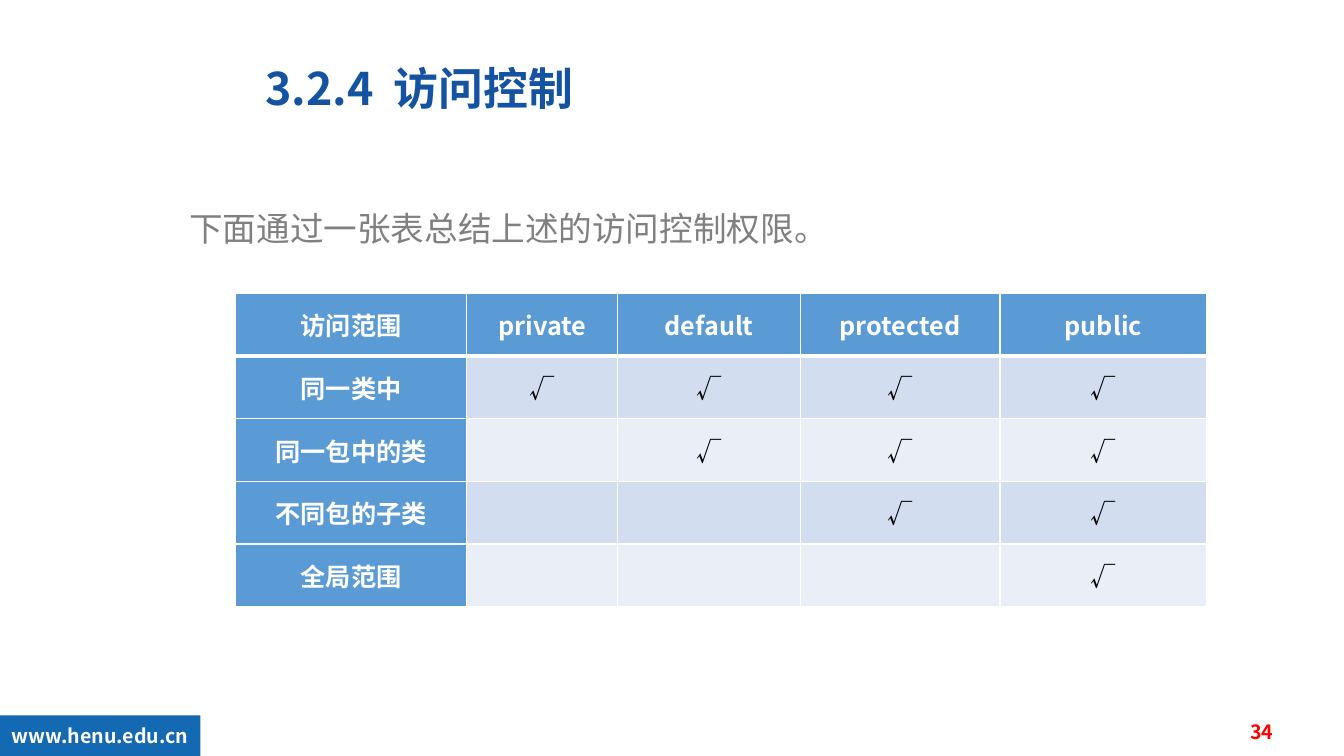
from lxml import etree
from pptx import Presentation
from pptx.dml.color import RGBColor
from pptx.enum.shapes import MSO_SHAPE
from pptx.enum.text import MSO_ANCHOR, PP_ALIGN
from pptx.oxml.ns import qn
from pptx.util import Cm, Pt

RECTANGLE = MSO_SHAPE.RECTANGLE
MIDDLE = MSO_ANCHOR.MIDDLE
LEFT, CENTER = PP_ALIGN.LEFT, PP_ALIGN.CENTER

FONT = "Noto Sans CJK SC"
COLORS = {
    "white": "FFFFFF",
    "black": "000000",
    "title": "1353A2",
    "intro": "808080",
    "site": "1369B2",
    "number": "FF0000",
    "header": "5B9BD5",
    "band_dark": "D2DEEF",
    "band_light": "EAEFF7",
}

SCOPE_HEADING = "访问范围"
MODIFIERS = ["private", "default", "protected", "public"]
# Each scope with the index of the first modifier that reaches it
SCOPES = [("同一类中", 0), ("同一包中的类", 1), ("不同包的子类", 2), ("全局范围", 3)]
COLUMN_WIDTHS = [5.82, 3.81, 4.6, 5.03, 5.21]


def rgb(name):
    return RGBColor.from_string(COLORS[name])


def style(paragraph, size, color, bold=False, align=LEFT):
    paragraph.alignment = align
    font = paragraph.font
    font.size, font.bold, font.name = Pt(size), bold, FONT
    font.color.rgb = rgb(color)
    east_asian = etree.SubElement(font._rPr, qn("a:ea"))
    east_asian.set("typeface", FONT)


def add_text(slide, box, text, size, color, **look):
    frame = slide.shapes.add_textbox(*map(Cm, box)).text_frame
    frame.word_wrap = True
    paragraph = frame.paragraphs[0]
    paragraph.text = text
    style(paragraph, size, color, **look)
    return frame


# Section title, with a widened gap after the number
def add_title(slide, box):
    frame = add_text(slide, box, "3.2.4", 32, "title", bold=True)
    paragraph = frame.paragraphs[0]
    gap = paragraph.add_run()
    gap.text = " "
    gap.font._element.set("spc", "720") if hasattr(gap.font, "_element") else gap._r.get_or_add_rPr().set("spc", "720")
    paragraph.add_run().text = "访问控制"


# Introductory sentence
def add_intro(slide, box):
    frame = add_text(slide, box, "下面通过一张表总结上述的访问控制权限。", 24, "intro")
    frame.paragraphs[0].line_spacing = 1.5


def set_borders(cell, top, bottom):
    properties = cell._tc.get_or_add_tcPr()
    widths = {"a:lnL": 1, "a:lnR": 1, "a:lnT": top, "a:lnB": bottom}
    for position, (side, width) in enumerate(widths.items()):
        line = etree.Element(qn(side), w=str(Pt(width)))
        fill = etree.SubElement(line, qn("a:solidFill"))
        etree.SubElement(fill, qn("a:srgbClr"), val=COLORS["white"])
        properties.insert(position, line)


# Table of access rights
def add_access_table(slide, box):
    rows = [[SCOPE_HEADING] + MODIFIERS]
    for scope, first in SCOPES:
        rows.append([scope] + ["√" if i >= first else "" for i in range(len(MODIFIERS))])

    table = slide.shapes.add_table(len(rows), len(rows[0]), *map(Cm, box)).table
    for column, width in zip(table.columns, COLUMN_WIDTHS):
        column.width = Cm(width)
    for r, texts in enumerate(rows):
        table.rows[r].height = Cm(box[3] / len(rows))
        band = "band_dark" if r % 2 else "band_light"
        for c, text in enumerate(texts):
            heading = r == 0 or c == 0
            cell = table.cell(r, c)
            cell.vertical_anchor = MIDDLE
            cell.margin_left = cell.margin_right = Cm(0.18)
            cell.margin_top = cell.margin_bottom = 0
            cell.fill.solid()
            cell.fill.fore_color.rgb = rgb("header" if heading else band)
            set_borders(cell, top=3 if r == 1 else 1, bottom=3 if r == 0 else 1)
            paragraph = cell.text_frame.paragraphs[0]
            paragraph.text = text
            style(paragraph, 18, "white" if heading else "black", heading, CENTER)


# Footer strip: site address on the left, page number on the right
def add_footer(slide, box):
    left, top, width, height = box
    site = slide.shapes.add_shape(RECTANGLE, Cm(left), Cm(top), Cm(5.05), Cm(height))
    site.shadow.inherit = False
    site.fill.solid()
    site.fill.fore_color.rgb = rgb("site")
    site.line.fill.background()
    frame = site.text_frame
    frame.vertical_anchor = MIDDLE
    frame.word_wrap = True
    address = frame.paragraphs[0]
    address.text = "www.henu.edu.cn"
    style(address, 14, "white", True, CENTER)

    number_box = (left + width - 2.73, top + 0.1, 1.32, 0.71)
    number = add_text(slide, number_box, "34", 14, "number", bold=True, align=CENTER)
    number.vertical_anchor = MIDDLE
    number.paragraphs[0].line_spacing = 0.9


def main():
    presentation = Presentation()
    presentation.slide_width, presentation.slide_height = Cm(33.87), Cm(19.05)
    slide = presentation.slides.add_slide(presentation.slide_layouts[6])
    add_footer(slide, (0, 18.03, 33.87, 1.02))
    add_title(slide, (6.43, 1.4, 14.17, 1.63))
    add_intro(slide, (4.52, 4.6, 27.64, 2.39))
    add_access_table(slide, (5.94, 7.39, sum(COLUMN_WIDTHS), 7.9))
    presentation.save("out.pptx")


if __name__ == "__main__":
    main()
